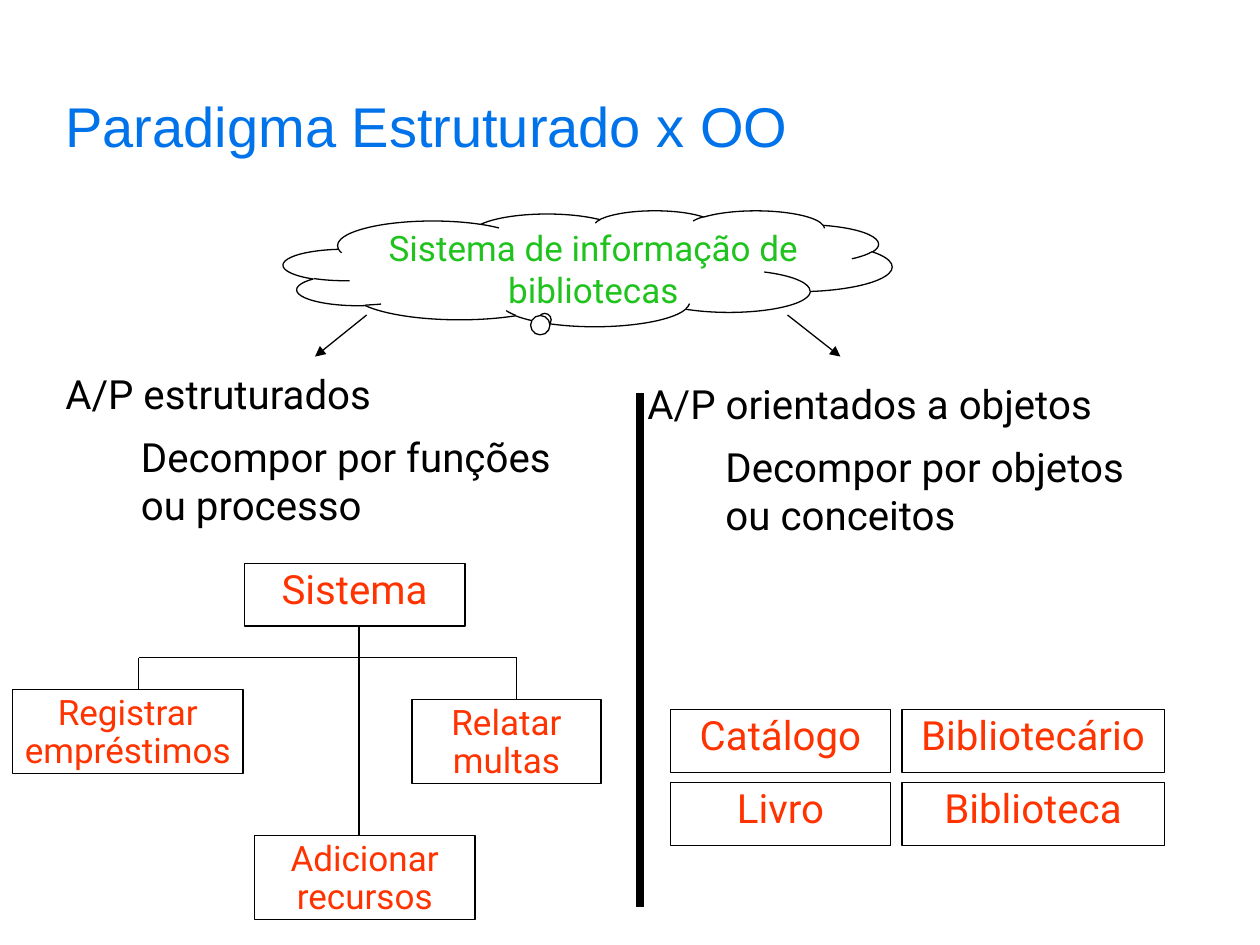
from dataclasses import dataclass

from lxml import etree
from pptx import Presentation
from pptx import util as u
from pptx.dml.color import RGBColor
from pptx.enum import shapes, text
from pptx.oxml.ns import qn

BLUE = RGBColor(0x00, 0x72, 0xEA)
GREEN = RGBColor(0x20, 0xC3, 0x1E)
ORANGE = RGBColor(0xFF, 0x33, 0x00)
BLACK = RGBColor(0, 0, 0)
WHITE = RGBColor(0xFF, 0xFF, 0xFF)

SLIDE_WIDTH, SLIDE_HEIGHT = u.Inches(10), u.Inches(7.5)
COLUMNS, ROWS = 100, 75  # fine grid over the whole slide


@dataclass(frozen=True)
class Area:
    """A rectangle in grid columns and rows."""
    column: float
    row: float
    columns: float
    rows: float

    def lengths(self) -> tuple[int, int, int, int]:
        return (x(self.column), y(self.row), x(self.columns), y(self.rows))


@dataclass(frozen=True)
class Box:
    label: str
    area: Area
    size: int = 23


@dataclass(frozen=True)
class Line:
    start: tuple[float, float]
    end: tuple[float, float]
    width: float = 0.75
    arrow: bool = False


@dataclass(frozen=True)
class Heading:
    label: str
    area: Area
    wrap: bool


def x(columns: float) -> int:
    return round(SLIDE_WIDTH * columns / COLUMNS)


def y(rows: float) -> int:
    return round(SLIDE_HEIGHT * rows / ROWS)


def write(shape, label: str, *, size: int, color: RGBColor, font: str = "Roboto",
          align=text.PP_ALIGN.LEFT, anchor=text.MSO_ANCHOR.TOP,
          spacing: float = 1.0, wrap: bool = True) -> None:
    frame = shape.text_frame
    frame.word_wrap = wrap
    frame.vertical_anchor = anchor
    paragraph = frame.paragraphs[0]
    paragraph.text = label
    paragraph.alignment = align
    paragraph.line_spacing = spacing
    paragraph.font.name = font
    paragraph.font.size = u.Pt(size)
    paragraph.font.color.rgb = color


def add_outlined(slide, kind, area: Area):
    shape = slide.shapes.add_shape(kind, *area.lengths())
    shape.shadow.inherit = False
    shape.line.color.rgb = BLACK
    shape.line.width = u.Pt(0.75)
    return shape


def add_box(slide, box: Box) -> None:
    shape = add_outlined(slide, shapes.MSO_SHAPE.RECTANGLE, box.area)
    shape.fill.background()
    frame = shape.text_frame
    frame.margin_left = frame.margin_right = u.Inches(0.05)
    write(shape, box.label, size=box.size, color=ORANGE,
          align=text.PP_ALIGN.CENTER, spacing=0.9)


def add_line(slide, line: Line) -> None:
    connector = slide.shapes.add_connector(
        shapes.MSO_CONNECTOR.STRAIGHT,
        x(line.start[0]), y(line.start[1]), x(line.end[0]), y(line.end[1]))
    connector.line.color.rgb = BLACK
    connector.line.width = u.Pt(line.width)
    if line.arrow:
        etree.SubElement(connector.line._get_or_add_ln(), qn("a:tailEnd"), type="triangle")
    etree.SubElement(connector._element.spPr, qn("a:effectLst"))


def add_heading(slide, heading: Heading) -> None:
    shape = slide.shapes.add_textbox(*heading.area.lengths())
    write(shape, heading.label, size=23, color=BLACK, wrap=heading.wrap)


# Object-oriented side: a two-by-two grid of concepts
CONCEPT_COLUMNS = ((53.2, 17.5), (71.6, 20.8))
CONCEPT_ROWS = (56.3, 62.1)
CONCEPTS = (("Catálogo", "Bibliotecário"), ("Livro", "Biblioteca"))
concept_boxes = [
    Box(label, Area(column, row, columns, 5))
    for row, labels in zip(CONCEPT_ROWS, CONCEPTS)
    for (column, columns), label in zip(CONCEPT_COLUMNS, labels)
]

# Structured side: a tree of functions
function_boxes = [
    Box("Sistema", Area(19.4, 44.7, 17.5, 5)),
    Box("Registrar empréstimos", Area(1, 54.7, 18.3, 6.7), 20),
    Box("Adicionar recursos", Area(20.2, 66.3, 17.5, 6.7), 20),
    Box("Relatar multas", Area(32.7, 55.5, 15, 6.7), 20),
]
BRANCH_LEFT, TRUNK, BRANCH_RIGHT, BRANCH_ROW = 11, 28.5, 41, 52.2
tree_lines = [
    Line((BRANCH_LEFT, 54.7), (BRANCH_LEFT, BRANCH_ROW)),
    Line((BRANCH_LEFT, BRANCH_ROW), (BRANCH_RIGHT, BRANCH_ROW)),
    Line((BRANCH_RIGHT, BRANCH_ROW), (BRANCH_RIGHT, 55.5)),
    Line((TRUNK, 49.7), (TRUNK, 66.3)),
]

cloud_arrows = [
    Line((29.1, 25), (25, 28.3), arrow=True),
    Line((62.5, 25), (66.7, 28.3), arrow=True),
]
divider = Line((50.8, 31.2), (50.8, 72), width=4.5)

headings = [
    Heading("A/P orientados a objetos", Area(50.4, 29.6, 38.8, 4.8), False),
    Heading("Decompor por objetos ou conceitos", Area(56.6, 34.6, 36, 8.6), True),
    Heading("A/P estruturados", Area(4.2, 28.8, 27.4, 4.8), False),
    Heading("Decompor por funções ou processo", Area(10.2, 33.8, 36, 8.6), True),
]


def main() -> None:
    presentation = Presentation()
    presentation.slide_width, presentation.slide_height = SLIDE_WIDTH, SLIDE_HEIGHT
    slide = presentation.slides.add_slide(presentation.slide_layouts[5])

    # Title
    title = slide.shapes.title
    title.left, title.top, title.width, title.height = Area(4.2, 5, 84.7, 10.6).lengths()
    write(title, "Paradigma Estruturado x OO", size=32, color=BLUE, font="Arial",
          anchor=text.MSO_ANCHOR.MIDDLE, spacing=0.9)

    # Cloud with its caption
    cloud = add_outlined(slide, shapes.MSO_SHAPE.CLOUD_CALLOUT, Area(22.5, 16.7, 48.3, 9.2))
    cloud.fill.solid()
    cloud.fill.fore_color.rgb = WHITE
    cloud.adjustments[0], cloud.adjustments[1] = -0.07, 0.44
    caption = slide.shapes.add_textbox(*Area(29.1, 17.5, 36, 7.6).lengths())
    write(caption, "Sistema de informação de bibliotecas", size=20, color=GREEN,
          align=text.PP_ALIGN.CENTER)

    # Both sides, their lines and headings
    for box in concept_boxes + function_boxes:
        add_box(slide, box)
    for line in cloud_arrows + tree_lines + [divider]:
        add_line(slide, line)
    for heading in headings:
        add_heading(slide, heading)

    presentation.save("out.pptx")


if __name__ == "__main__":
    main()
